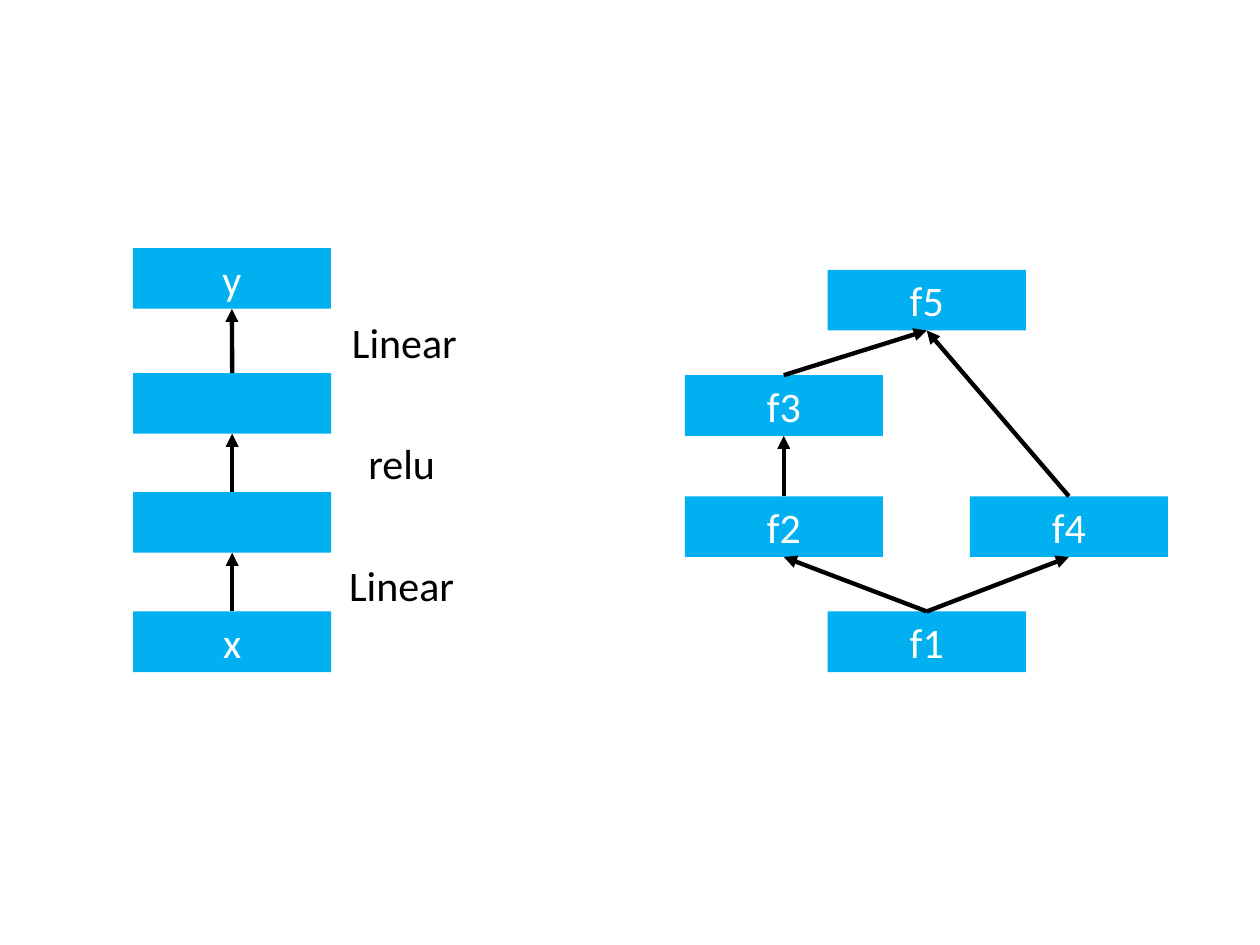
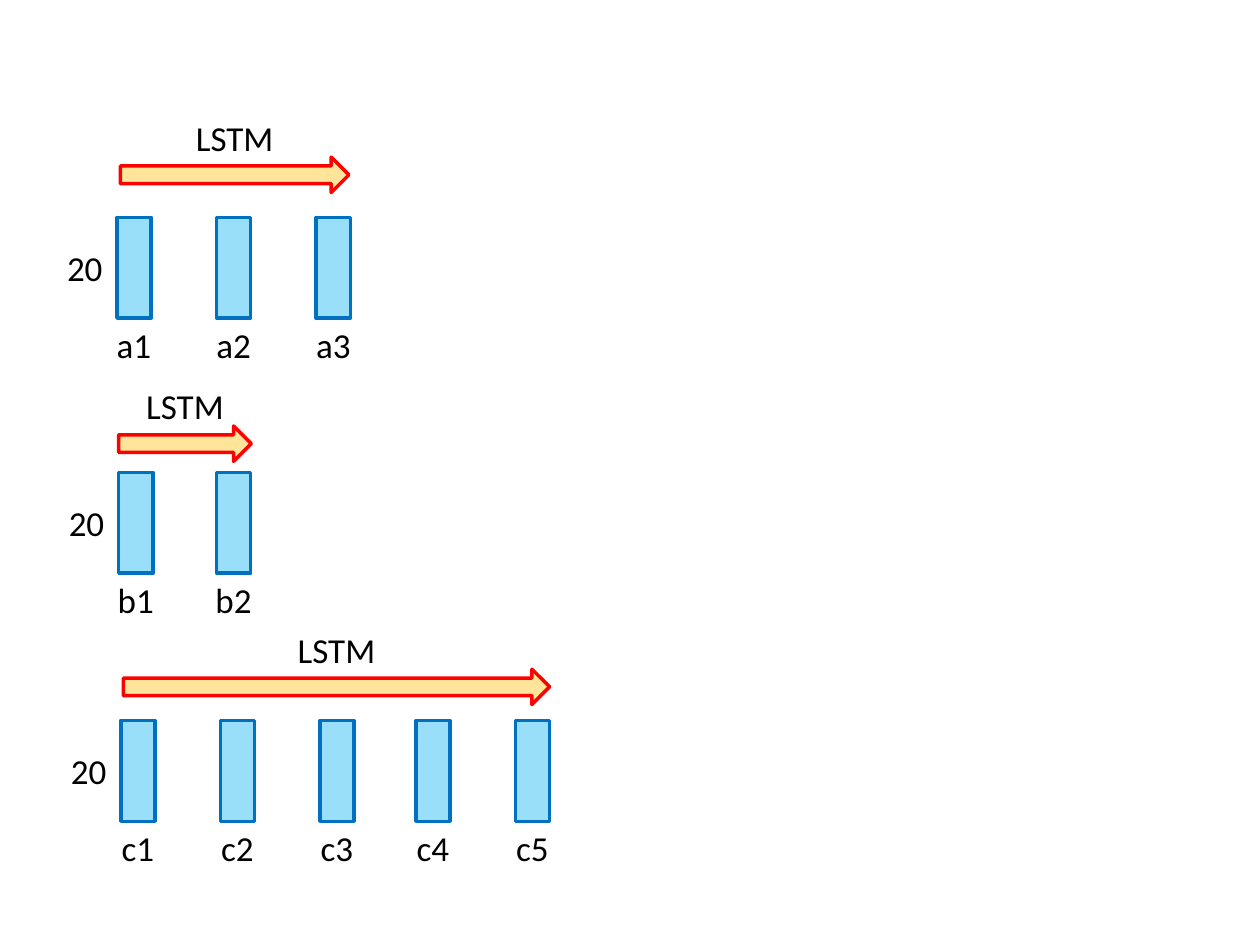
from lxml import etree
from pptx import Presentation
from pptx.dml.color import RGBColor
from pptx.enum.shapes import MSO_CONNECTOR, MSO_SHAPE
from pptx.enum.text import MSO_ANCHOR, PP_ALIGN
from pptx.oxml.ns import qn
from pptx.util import Pt

FONT = "Calibri"
BLACK, WHITE = "000000", "FFFFFF"
BLUE, DARK_BLUE = "00B0F0", "0070C0"
AMBER, RED = "FFC000", "FF0000"

# Slide 1: node -> (text, left, top)
NODES = {
    "input": ("x", 76.1, 349.4),
    "hidden 1": ("", 76.1, 281.2),
    "hidden 2": ("", 76.1, 213.2),
    "output": ("y", 75.9, 141.8),
    "f1": ("f1", 473, 349.4),
    "f2": ("f2", 391.3, 283.6),
    "f3": ("f3", 391.3, 214.4),
    "f4": ("f4", 554.2, 283.6),
    "f5": ("f5", 473, 154.2),
}
EDGES = [
    ("input", "hidden 1"), ("hidden 1", "hidden 2"), ("hidden 2", "output"),
    ("f1", "f2"), ("f2", "f3"), ("f1", "f4"), ("f3", "f5"), ("f4", "f5"),
]
OPERATIONS = [("Linear", 189.2, 316.1), ("relu", 189.2, 246.2), ("Linear", 190.8, 177.1)]
NODE_W, NODE_H = 113.2, 34.7
TOP_SITE, BOTTOM_SITE = 0, 2

# Slide 2: steps with their left edges, top of the bars, arrow (left, top, width)
SEQUENCES = [
    ({"a1": 66.8, "a2": 123.7, "a3": 180.7}, 124.2, (68.8, 89.8, 130.6)),
    ({"b1": 67.8, "b2": 123.7}, 270, (67.8, 243.4, 75.8)),
    ({"c1": 69, "c2": 125.9, "c3": 182.8, "c4": 237.6, "c5": 294.5}, 411.8, (70.5, 382.4, 243.6)),
]
STEP_SIZE, MODEL = "20", "LSTM"
BAR_W, BAR_H, ARROW_H = 19.6, 57.6, 20.2
STEP_W, SIZE_W, MODEL_W = 41, 36.7, 64


def color(hex_value):
    return RGBColor.from_string(hex_value)


def write(shape, text, size, ink):
    paragraph = shape.text_frame.paragraphs[0]
    paragraph.text = text
    paragraph.alignment = PP_ALIGN.CENTER
    paragraph.font.name = FONT
    paragraph.font.size = Pt(size)
    paragraph.font.color.rgb = color(ink)


def add_label(slide, text, left, top, width, size):
    label = slide.shapes.add_textbox(Pt(left), Pt(top), Pt(width), Pt(size * 1.22 + 7.2))
    label.text_frame.word_wrap = True
    write(label, text, size, BLACK)


def add_filled(slide, kind, box, fill, outline=None, opacity=None):
    shape = slide.shapes.add_shape(kind, *map(Pt, box))
    shape.shadow.inherit = False
    shape.fill.solid()
    shape.fill.fore_color.rgb = color(fill)
    if opacity:
        srgb = shape.fill._xPr.find(f".//{qn('a:srgbClr')}")
        etree.SubElement(srgb, qn("a:alpha"), val=str(opacity * 1000))
    if outline:
        shape.line.color.rgb = color(outline)
        shape.line.width = Pt(2)
    else:
        shape.line.fill.background()
    return shape


def add_edge(slide, source, target):
    """Arrow from the top of one node to the bottom of another."""
    edge = slide.shapes.add_connector(MSO_CONNECTOR.STRAIGHT, 0, 0, 0, 0)
    edge.begin_connect(source, TOP_SITE)
    edge.end_connect(target, BOTTOM_SITE)
    edge.line.color.rgb = color(BLACK)
    edge.line.width = Pt(2.5)
    etree.SubElement(edge.line._get_or_add_ln(), qn("a:tailEnd"), type="triangle")
    etree.SubElement(edge._element.spPr, qn("a:effectLst"))


def build_networks(slide):
    nodes = {}
    for key, (text, left, top) in NODES.items():
        node = add_filled(slide, MSO_SHAPE.RECTANGLE, (left, top, NODE_W, NODE_H), BLUE)
        node.text_frame.vertical_anchor = MSO_ANCHOR.MIDDLE
        if text:
            write(node, text, 24, WHITE)
        nodes[key] = node
    for source, target in EDGES:
        add_edge(slide, nodes[source], nodes[target])
    for text, left, top in OPERATIONS:
        add_label(slide, text, left, top, 80.6, 24)


def build_sequences(slide):
    for steps, bar_top, (arrow_left, arrow_top, arrow_w) in SEQUENCES:
        for step, left in steps.items():
            add_filled(slide, MSO_SHAPE.RECTANGLE, (left, bar_top, BAR_W, BAR_H),
                       BLUE, DARK_BLUE, 40)
            add_label(slide, step, left + (BAR_W - STEP_W) / 2, bar_top + BAR_H - 0.5, STEP_W, 20)
        first_left = min(steps.values())
        add_label(slide, STEP_SIZE, first_left - SIZE_W, bar_top + 12.9, SIZE_W, 20)
        add_filled(slide, MSO_SHAPE.RIGHT_ARROW, (arrow_left, arrow_top, arrow_w, ARROW_H),
                   AMBER, RED, 40)
        add_label(slide, MODEL, arrow_left + (arrow_w - MODEL_W) / 2, arrow_top - 27,
                  MODEL_W, 20)


def main():
    deck = Presentation()
    deck.slide_width, deck.slide_height = Pt(720), Pt(540)
    for build in (build_networks, build_sequences):
        build(deck.slides.add_slide(deck.slide_layouts[6]))
    deck.save("out.pptx")


if __name__ == "__main__":
    main()
